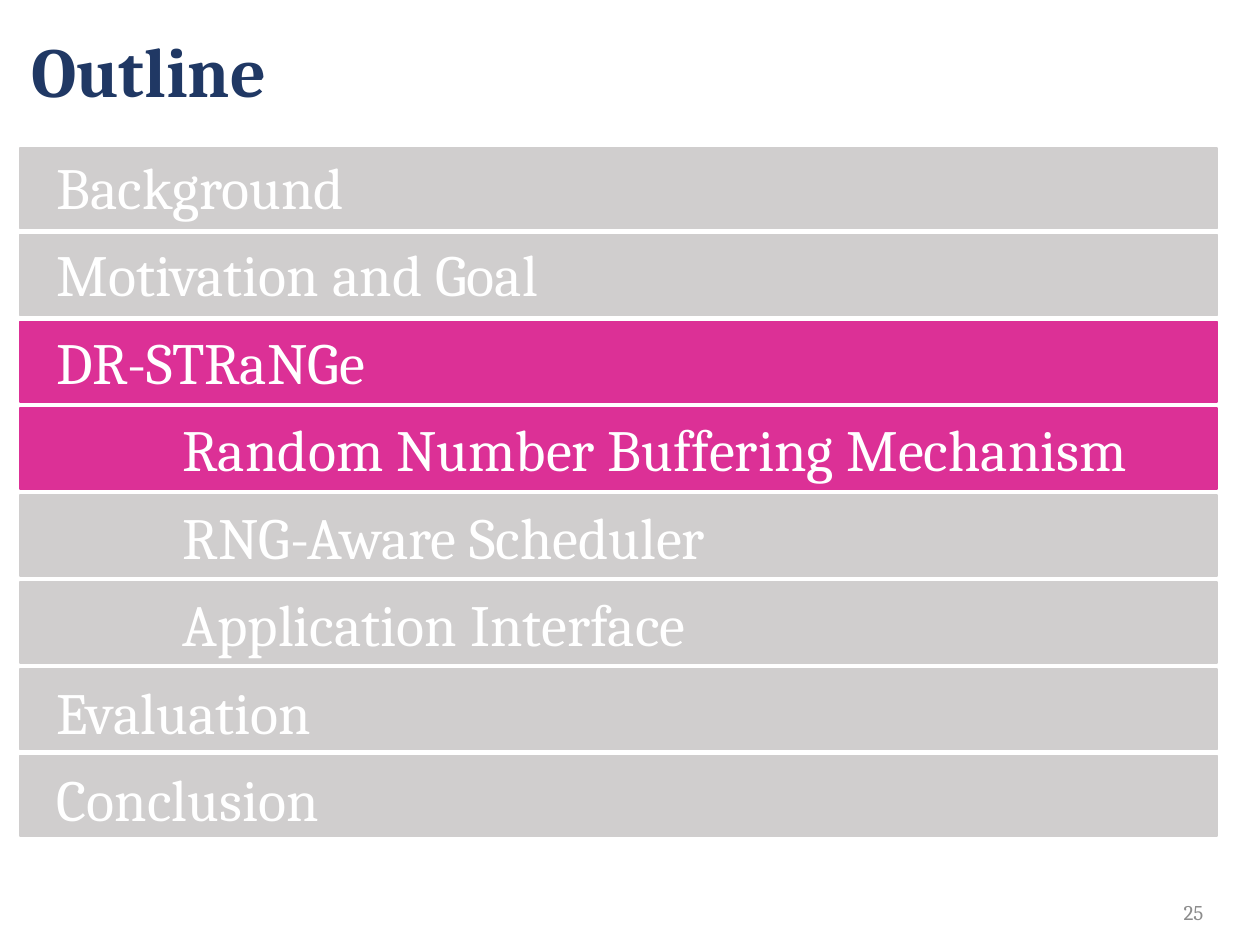
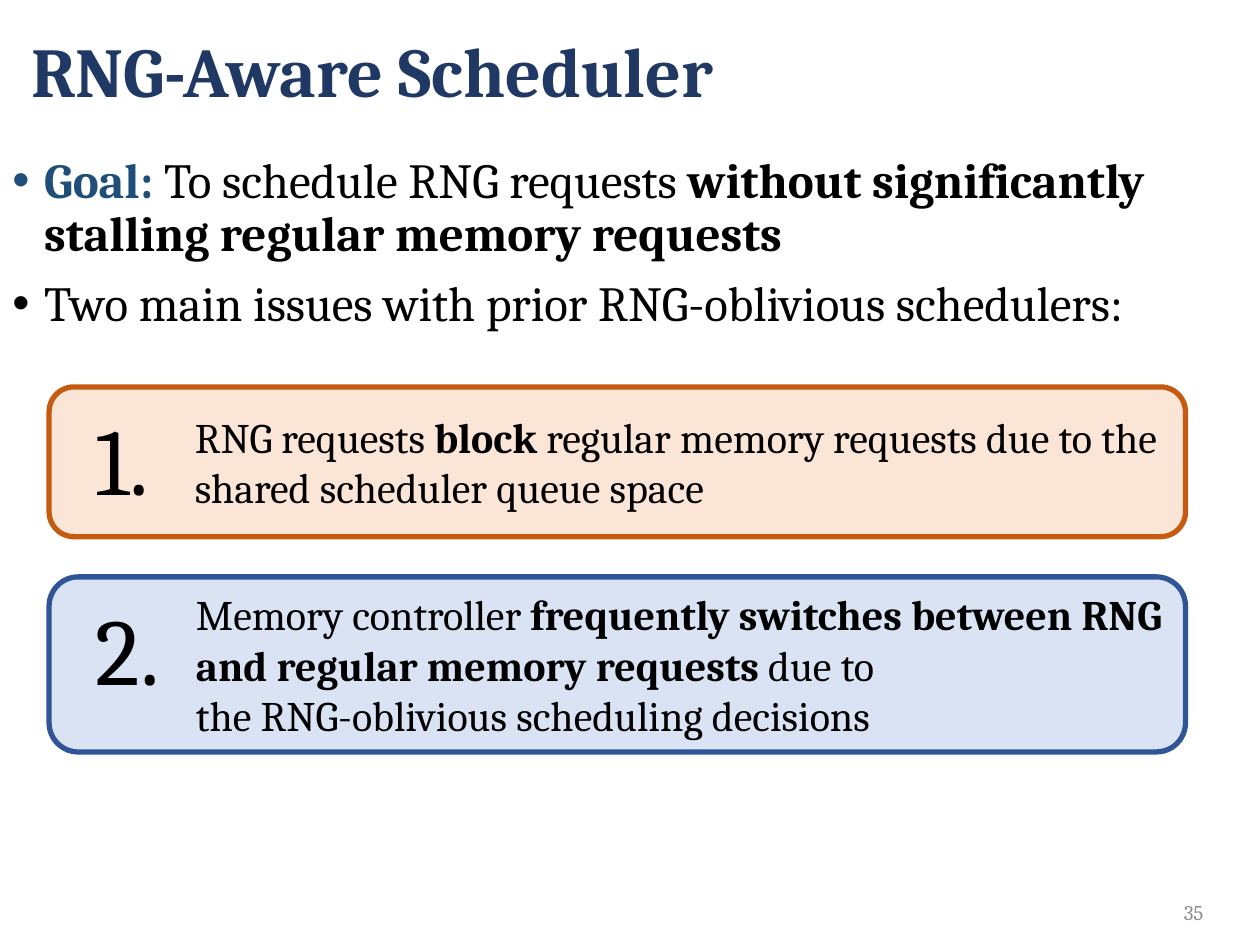
from dataclasses import dataclass
from typing import Optional

from lxml.etree import SubElement
from pptx import Presentation
from pptx.dml.color import RGBColor
from pptx.enum.shapes import MSO_SHAPE as Preset
from pptx.enum.text import MSO_ANCHOR as Anchor, PP_ALIGN as Align
from pptx.oxml.ns import qn
from pptx.util import Cm, Pt

FONT = "Cambria"
BLACK = RGBColor(0x00, 0x00, 0x00)
WHITE = RGBColor(0xFF, 0xFF, 0xFF)
NAVY = RGBColor(0x20, 0x38, 0x64)
GOAL_BLUE = RGBColor(0x1F, 0x4E, 0x79)
PAGE_GREY = RGBColor(0x8C, 0x8C, 0x8C)
BAR_GREY = RGBColor(0xD0, 0xCE, 0xCE)
BAR_PINK = RGBColor(0xDC, 0x30, 0x96)
ORANGE = RGBColor(0xC5, 0x5A, 0x11)
PALE_ORANGE = RGBColor(0xFB, 0xE5, 0xD6)
BLUE = RGBColor(0x2F, 0x55, 0x97)
PALE_BLUE = RGBColor(0xDA, 0xE3, 0xF3)

BAR_TOP, BAR_PITCH = 2.98, 1.75
SUBTOPIC_INDENT = 2.54
BULLET_INDENT = 0.64
CARD_LEFT, CARD_WIDTH = 0.99, 22.91


@dataclass(frozen=True)
class Box:
    """A rectangle in centimetres."""
    left: float
    top: float
    width: float
    height: float

    def lengths(self) -> tuple:
        return Cm(self.left), Cm(self.top), Cm(self.width), Cm(self.height)


@dataclass(frozen=True)
class Run:
    text: str
    bold: bool = False
    color: RGBColor = BLACK


@dataclass(frozen=True)
class Line:
    """One paragraph; its indent is in centimetres."""
    runs: tuple[Run, ...]
    size: float
    indent: float = 0
    bullet: bool = False
    format: Optional[dict] = None


@dataclass(frozen=True)
class Topic:
    text: str
    current: bool = False
    indent: float = 0


@dataclass(frozen=True)
class Issue:
    number: str
    top: float
    height: float
    fill: RGBColor
    outline: RGBColor
    runs: tuple[Run, ...]


TOPICS = (
    Topic("Background"),
    Topic("Motivation and Goal"),
    Topic("DR-STRaNGe", current=True),
    Topic("Random Number Buffering Mechanism", True, SUBTOPIC_INDENT),
    Topic("RNG-Aware Scheduler", indent=SUBTOPIC_INDENT),
    Topic("Application Interface", indent=SUBTOPIC_INDENT),
    Topic("Evaluation"),
    Topic("Conclusion"),
)

GOALS = (
    (Run("Goal: ", True, GOAL_BLUE), Run("To schedule RNG requests "),
     Run("without significantly stalling regular memory requests", True)),
    (Run("Two main issues with prior RNG-oblivious schedulers:"),),
)

ISSUES = (
    Issue("1.", 7.8, 3.02, PALE_ORANGE, ORANGE, (
        Run("RNG requests "), Run("block ", True),
        Run("regular memory requests due to the shared scheduler queue space"))),
    Issue("2.", 11.63, 3.53, PALE_BLUE, BLUE, (
        Run("Memory controller "),
        Run("frequently switches between RNG and regular memory requests ", True),
        Run("due to \nthe RNG-oblivious scheduling decisions"))),
)


def apply_format(target, values: dict) -> None:
    for name, value in values.items():
        setattr(target, name, value)


def add_run(paragraph, run: Run, size: float) -> None:
    """Add a run, turning each newline into a line break."""
    for index, part in enumerate(run.text.split("\n")):
        if index:
            paragraph.add_line_break()
        piece = paragraph.add_run()
        piece.text = part
        apply_format(piece.font, {"name": FONT, "size": Pt(size), "bold": run.bold})
        piece.font.color.rgb = run.color


def write_lines(frame, lines: list[Line], anchor=Anchor.TOP) -> None:
    apply_format(frame, {"word_wrap": True, "vertical_anchor": anchor})
    for index, line in enumerate(lines):
        paragraph = frame.add_paragraph() if index else frame.paragraphs[0]
        properties = paragraph._p.get_or_add_pPr()
        properties.set("marL", str(Cm(line.indent)))
        properties.set("indent", str(-Cm(line.indent) if line.bullet else 0))
        if line.bullet:
            SubElement(properties, qn("a:buFont"), typeface="Arial")
            SubElement(properties, qn("a:buChar"), char="•")
        apply_format(paragraph, {"alignment": Align.LEFT, **(line.format or {})})
        if index:
            paragraph.space_before = Pt(10)
        for run in line.runs:
            add_run(paragraph, run, line.size)


def add_text(slide, box: Box, lines: list[Line], anchor=Anchor.TOP) -> None:
    write_lines(slide.shapes.add_textbox(*box.lengths()).text_frame, lines, anchor)


def add_panel(slide, preset, box: Box, fill: RGBColor, outline: RGBColor, width: float):
    shape = slide.shapes.add_shape(preset, *box.lengths())
    shape.shadow.inherit = False
    shape.fill.solid()
    shape.fill.fore_color.rgb = fill
    shape.line.color.rgb = outline
    shape.line.width = Pt(width)
    return shape


def add_slide(presentation, title: str, page: str):
    """Add a blank slide with the shared title and page number."""
    slide = presentation.slides.add_slide(presentation.slide_layouts[6])
    add_text(slide, Box(0.38, 0, 24.71, 3.02),
             [Line((Run(title, True, NAVY),), 40, format={"line_spacing": 0.9})],
             Anchor.MIDDLE)
    add_text(slide, Box(23.32, 18.11, 1.19, 0.56),
             [Line((Run(page, color=PAGE_GREY),), 12, format={"alignment": Align.RIGHT})],
             Anchor.MIDDLE)
    return slide


def build_outline(presentation) -> None:
    slide = add_slide(presentation, "Outline", "25")
    for index, topic in enumerate(TOPICS):
        color = BAR_PINK if topic.current else BAR_GREY
        bar = Box(0.4, BAR_TOP + index * BAR_PITCH, 24.13, 1.63)
        add_panel(slide, Preset.RECTANGLE, bar, color, color, 1)
    add_text(slide, Box(0.89, 2.92, 23.62, 14.22),
             [Line((Run(topic.text, color=WHITE),), 33.3, topic.indent)
              for topic in TOPICS])


def add_issue(slide, issue: Issue) -> None:
    card = add_panel(slide, Preset.ROUNDED_RECTANGLE,
                     Box(CARD_LEFT, issue.top, CARD_WIDTH, issue.height),
                     issue.fill, issue.outline, 3)
    write_lines(card.text_frame, [Line(issue.runs, 24, 2.54)], Anchor.MIDDLE)
    add_text(slide, Box(1.68, issue.top + 0.16, 3.02, 2.57),
             [Line((Run(issue.number),), 54)])


def build_scheduler(presentation) -> None:
    slide = add_slide(presentation, "RNG-Aware Scheduler", "35")
    add_text(slide, Box(0, 3.02, 25.4, 14.12),
             [Line(runs, 28, BULLET_INDENT, True, {"line_spacing": 0.9})
              for runs in GOALS])
    for issue in ISSUES:
        add_issue(slide, issue)


def main() -> None:
    presentation = Presentation()
    apply_format(presentation, {"slide_width": Cm(25.4), "slide_height": Cm(19.05)})
    build_outline(presentation)
    build_scheduler(presentation)
    presentation.save("out.pptx")


if __name__ == "__main__":
    main()
